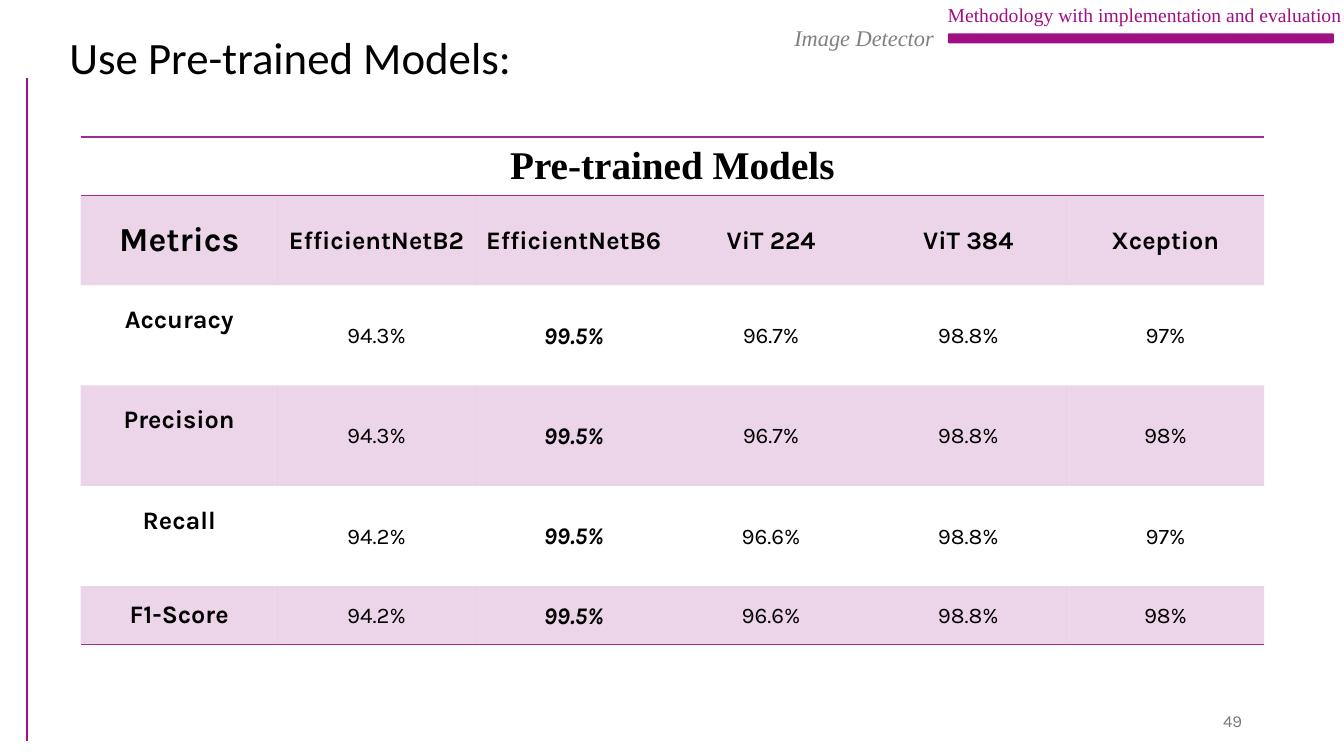
from dataclasses import dataclass

from lxml import etree
from pptx import Presentation
from pptx.dml.color import RGBColor
from pptx.enum.shapes import MSO_CONNECTOR, MSO_SHAPE
from pptx.enum.text import MSO_ANCHOR, MSO_AUTO_SIZE, PP_ALIGN
from pptx.oxml.ns import qn
from pptx.util import Inches, Pt

LEFT, MID, RIGHT = PP_ALIGN.LEFT, PP_ALIGN.CENTER, PP_ALIGN.RIGHT
TOP, CENTER = MSO_ANCHOR.TOP, MSO_ANCHOR.MIDDLE
GROW, FIXED = MSO_AUTO_SIZE.SHAPE_TO_FIT_TEXT, MSO_AUTO_SIZE.NONE
ROUND, STRAIGHT = MSO_SHAPE.ROUNDED_RECTANGLE, MSO_CONNECTOR.STRAIGHT
WIDE, HIGH = Inches(13.33), Inches(7.5)
PLAIN = "{2D5ABB26-0587-4C30-8999-92F81FD0307C}"  # table style with no grid


@dataclass(frozen=True)
class Theme:
    accent: str = "A01085"
    band: str = "A02B93"
    ink: str = "000000"
    gray: str = "808080"
    pale: str = "797979"
    tint: int = 20
    sans: str = "Karla"
    serif: str = "Times New Roman"
    head: str = "Calibri"
    title: int = 32
    name: int = 28
    corner: int = 24
    label: int = 18
    best: int = 17
    value: int = 16
    topic: int = 14
    small: int = 12


THEME = Theme()


@dataclass(frozen=True)
class Style:
    size: int
    font: str = THEME.sans
    color: str = THEME.ink
    bold: bool = False
    slant: bool = False


@dataclass(frozen=True)
class Box:
    """Place in percent of the slide's width and height."""
    left: float
    top: float
    width: float
    height: float

    def emu(self) -> tuple[int, int, int, int]:
        return across(self.left), down(self.top), across(self.width), down(self.height)


@dataclass(frozen=True)
class Note:
    text: str
    box: Box
    style: Style
    align: PP_ALIGN = LEFT
    anchor: MSO_ANCHOR = TOP
    size: MSO_AUTO_SIZE = GROW
    level: int = 0


NOTES = (
    Note("49", Box(70.67, 92.67, 22.5, 5.33), Style(THEME.small, color=THEME.pale),
         RIGHT, CENTER, FIXED),
    Note("Methodology with implementation and evaluation", Box(69.77, -0.27, 33.91, 4.53),
         Style(THEME.topic, THEME.serif, THEME.accent)),
    Note("Image Detector", Box(54.61, 2.53, 16.95, 12.13),
         Style(THEME.value, THEME.serif, THEME.gray, slant=True), level=1),
    Note("Use Pre-trained Models:", Box(4.43, 3.33, 40.21, 8.53),
         Style(THEME.title, THEME.head)),
)
BAR = Box(70.52, 4.4, 28.73, 1.33)
RULE = Box(2.03, 10.27, 0, 87.73)
GRID = Box(6, 18.13, 88.07, 67.1)
ROWS = (7.68, 11.9, 13.28, 13.28, 13.28, 7.68)
RAISED = (2, 3, 4)  # rows whose label sits above the middle
BEST = 2
DATA = (
    ("Pre-trained Models", "", "", "", "", ""),
    ("Metrics", "EfficientNetB2", "EfficientNetB6", "ViT 224", "ViT 384", "Xception"),
    ("Accuracy", "94.3%", "99.5%", "96.7%", "98.8%", "97%"),
    ("Precision", "94.3%", "99.5%", "96.7%", "98.8%", "98%"),
    ("Recall", "94.2%", "99.5%", "96.6%", "98.8%", "97%"),
    ("F1-Score", "94.2%", "99.5%", "96.6%", "98.8%", "98%"),
)


def across(share: float) -> int:
    return round(WIDE * share / 100)


def down(share: float) -> int:
    return round(HIGH * share / 100)


def paint(para, style: Style) -> None:
    for run in para.runs:
        font = run.font
        font.name, font.size = style.font, Pt(style.size)
        font.bold, font.italic = style.bold, style.slant
        font.color.rgb = RGBColor.from_string(style.color)


def add_note(slide, note: Note) -> None:
    frame = slide.shapes.add_textbox(*note.box.emu()).text_frame
    frame.word_wrap, frame.auto_size = True, note.size
    frame.vertical_anchor = note.anchor
    para = frame.paragraphs[0]
    para.text, para.alignment, para.level = note.text, note.align, note.level
    if note.level:
        para._p.get_or_add_pPr().set("marL", str(Inches(0.5) * note.level))
    paint(para, note.style)


def add_bar(slide, box: Box) -> None:
    bar = slide.shapes.add_shape(ROUND, *box.emu())
    bar.adjustments[0] = 0.14
    bar.shadow.inherit = False
    bar.fill.solid()
    bar.fill.fore_color.rgb = RGBColor.from_string(THEME.accent)
    bar.line.fill.background()


def add_rule(slide, box: Box) -> None:
    left, top, width, height = box.emu()
    rule = slide.shapes.add_connector(STRAIGHT, left, top, left + width, top + height)
    rule.line.color.rgb = RGBColor.from_string(THEME.accent)
    rule.line.width = Pt(1.5)
    etree.SubElement(rule._element.spPr, qn("a:effectLst"))


def pick(row: int, col: int) -> Style:
    if row == 0:
        return Style(THEME.name, THEME.serif, bold=True)
    if row == 1 and col == 0:
        return Style(THEME.corner, bold=True)
    if row == 1 or col == 0:
        return Style(THEME.label, bold=True)
    if col == BEST:
        return Style(THEME.best, bold=True, slant=True)
    return Style(THEME.value)


def add_edges(cell, sides: str) -> None:
    props = cell._tc.get_or_add_tcPr()
    for spot, side in enumerate(sides):
        edge = etree.Element(qn(f"a:ln{side}"), w=str(Pt(1)))
        fill = etree.SubElement(edge, qn("a:solidFill"))
        etree.SubElement(fill, qn("a:srgbClr"), val=THEME.band)
        props.insert(spot, edge)


def fill_cell(cell, row: int, col: int) -> None:
    # Text
    cell.vertical_anchor = CENTER
    para = cell.text_frame.paragraphs[0]
    para.text, para.alignment = DATA[row][col], MID
    paint(para, pick(row, col))
    # Spacing
    if row and col:
        para.line_spacing = 1.07
        cell.margin_left = cell.margin_right = Inches(0.07)
        cell.margin_top = cell.margin_bottom = 0
    elif row in RAISED:
        cell.margin_bottom = Inches(0.35)
    # Band on every second row
    if row % 2:
        cell.fill.solid()
        cell.fill.fore_color.rgb = RGBColor.from_string(THEME.band)
        tone = cell._tc.tcPr.find(".//" + qn("a:srgbClr"))
        etree.SubElement(tone, qn("a:alpha"), val=str(THEME.tint * 1000))
    else:
        cell.fill.background()
    # Rules around the heading and under the last row
    add_edges(cell, {0: "TB", len(ROWS) - 1: "B"}.get(row, ""))


def add_grid(slide, box: Box) -> None:
    cols = len(DATA[0])
    table = slide.shapes.add_table(len(ROWS), cols, *box.emu()).table
    table.first_row = table.horz_banding = False
    table._tbl.tblPr.find(qn("a:tableStyleId")).text = PLAIN
    for col in table.columns:
        col.width = across(box.width / cols)
    for line, share in zip(table.rows, ROWS):
        line.height = down(share)
    for row in range(len(ROWS)):
        for col in range(cols):
            fill_cell(table.cell(row, col), row, col)
    table.cell(0, 0).merge(table.cell(0, cols - 1))


def main() -> None:
    deck = Presentation()
    deck.slide_width, deck.slide_height = WIDE, HIGH
    slide = deck.slides.add_slide(deck.slide_layouts[6])
    add_bar(slide, BAR)
    add_rule(slide, RULE)
    for note in NOTES:
        add_note(slide, note)
    add_grid(slide, GRID)
    deck.save("out.pptx")


if __name__ == "__main__":
    main()
